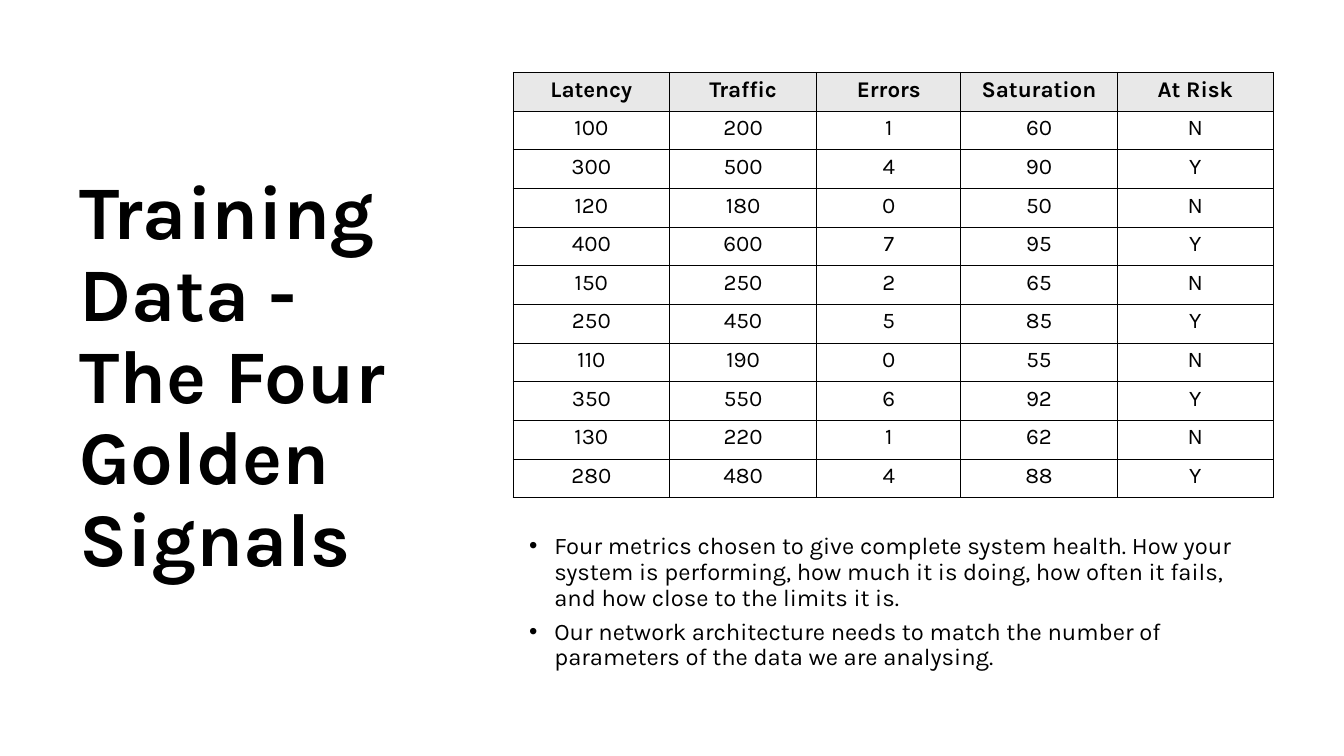
from dataclasses import dataclass

from lxml import etree
from pptx import Presentation
from pptx.dml.color import RGBColor
from pptx.enum.text import MSO_ANCHOR, PP_ALIGN
from pptx.oxml import parse_xml
from pptx.oxml.ns import nsdecls, qn
from pptx.util import Inches, Pt

CENTER = PP_ALIGN.CENTER
MIDDLE = MSO_ANCHOR.MIDDLE


@dataclass(frozen=True)
class Theme:
    font: str = "Karla"
    ink: str = "000000"
    header_fill: str = "E8E8E8"
    title_size: int = 54
    body_size: int = 17
    table_size: int = 16
    border_width: int = 1


theme = Theme()

TITLE = "Training Data - The Four Golden Signals"
BULLETS = [
    "Four metrics chosen to give complete system health. How your system is performing, "
    "how much it is doing, how often it fails, and how close to the limits it is.",
    "Our network architecture needs to match the number of parameters of the data "
    "we are analysing.",
]
SIGNALS = [
    ("Latency", "Traffic", "Errors", "Saturation", "At Risk"),
    (100, 200, 1, 60, "N"),
    (300, 500, 4, 90, "Y"),
    (120, 180, 0, 50, "N"),
    (400, 600, 7, 95, "Y"),
    (150, 250, 2, 65, "N"),
    (250, 450, 5, 85, "Y"),
    (110, 190, 0, 55, "N"),
    (350, 550, 6, 92, "Y"),
    (130, 220, 1, 62, "N"),
    (280, 480, 4, 88, "Y"),
]
COLUMN_WIDTHS = [1.55, 1.46, 1.43, 1.55, 1.55]
TABLE_HEIGHT = 4.22
RIGHT_COLUMN_LEFT = 5.09
RIGHT_COLUMN_WIDTH = 7.54


def set_font(paragraph, size, bold=False):
    paragraph.font.name = theme.font
    paragraph.font.size = Pt(size)
    paragraph.font.bold = bold
    paragraph.font.color.rgb = RGBColor.from_string(theme.ink)


def set_spacing(paragraph):
    paragraph.line_spacing = 0.9
    paragraph.space_after = Pt(6)


presentation = Presentation()
presentation.slide_width = Inches(13.33)
presentation.slide_height = Inches(7.5)
slide = presentation.slides.add_slide(presentation.slide_layouts[6])

# Title
title_box = slide.shapes.add_textbox(Inches(0.69), Inches(0.7), Inches(3.74), Inches(6.11))
title_frame = title_box.text_frame
title_frame.word_wrap = True
title_frame.vertical_anchor = MIDDLE
title_paragraph = title_frame.paragraphs[0]
title_paragraph.text = TITLE
set_spacing(title_paragraph)
set_font(title_paragraph, theme.title_size, bold=True)

# Bullets
bullet_box = slide.shapes.add_textbox(
    Inches(RIGHT_COLUMN_LEFT), Inches(5.25), Inches(RIGHT_COLUMN_WIDTH), Inches(1.56)
)
bullet_frame = bullet_box.text_frame
bullet_frame.word_wrap = True
for index, text in enumerate(BULLETS):
    paragraph = bullet_frame.add_paragraph() if index else bullet_frame.paragraphs[0]
    paragraph.text = text
    properties = paragraph._p.get_or_add_pPr()
    properties.set("marL", str(Inches(0.31)))
    properties.set("indent", str(Inches(-0.25)))
    etree.SubElement(properties, qn("a:buFont")).set("typeface", "Arial")
    etree.SubElement(properties, qn("a:buChar")).set("char", "•")
    set_spacing(paragraph)
    set_font(paragraph, theme.body_size)

# Table of training data
table = slide.shapes.add_table(
    len(SIGNALS), len(COLUMN_WIDTHS),
    Inches(RIGHT_COLUMN_LEFT), Inches(0.72), Inches(RIGHT_COLUMN_WIDTH), Inches(TABLE_HEIGHT),
).table
table.first_row = False
table.horz_banding = False
for column, width in zip(table.columns, COLUMN_WIDTHS):
    column.width = Inches(width)

for row_index, values in enumerate(SIGNALS):
    is_header = row_index == 0
    table.rows[row_index].height = Inches(TABLE_HEIGHT / len(SIGNALS))
    for column_index, value in enumerate(values):
        cell = table.cell(row_index, column_index)
        cell.margin_left = cell.margin_right = Inches(0.09)
        cell.margin_top = cell.margin_bottom = Inches(0.04)
        cell_properties = cell._tc.get_or_add_tcPr()
        for side in ("lnL", "lnR", "lnT", "lnB"):
            cell_properties.append(parse_xml(
                f'<a:{side} {nsdecls("a")} w="{Pt(theme.border_width)}"><a:solidFill>'
                f'<a:srgbClr val="{theme.ink}"/></a:solidFill></a:{side}>'
            ))
        if is_header:
            cell.fill.solid()
            cell.fill.fore_color.rgb = RGBColor.from_string(theme.header_fill)
        else:
            cell.fill.background()
        paragraph = cell.text_frame.paragraphs[0]
        paragraph.text = str(value)
        paragraph.alignment = CENTER
        set_font(paragraph, theme.table_size, bold=is_header)

presentation.save("out.pptx")
